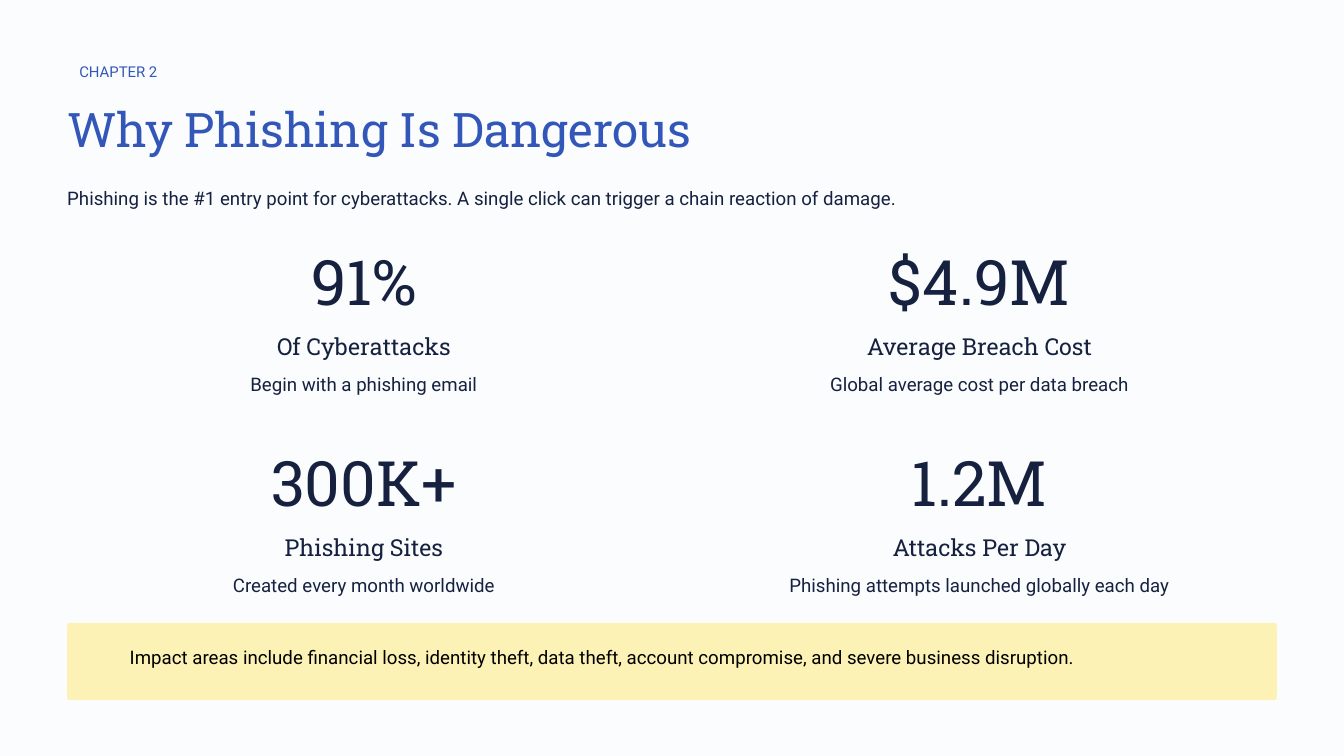
from pptx import Presentation, util as u
from pptx.dml.color import RGBColor
from pptx.enum import shapes, text

PX = 9144
COLORS = {"page": "FBFCFE", "blue": "3257B8", "navy": "15213F",
          "note": "FCF2B5", "black": "000000"}
BODY, HEAD = "Roboto", "Roboto Slab"
LEFT, ALIGN_MID = text.PP_ALIGN.LEFT, text.PP_ALIGN.CENTER
STATS = [
    ("91%", "Of Cyberattacks", "Begin with a phishing email"),
    ("$4.9M", "Average Breach Cost", "Global average cost per data breach"),
    ("300K+", "Phishing Sites", "Created every month worldwide"),
    ("1.2M", "Attacks Per Day", "Phishing attempts launched globally each day"),
]


def color(name):
    return RGBColor.from_string(COLORS[name])


def write(frame, words, size=20, lead=30.7, face=BODY, ink="navy", align=LEFT):
    frame.margin_left = frame.margin_right = 0
    frame.margin_top = frame.margin_bottom = 0
    frame.word_wrap = True
    frame.auto_size = text.MSO_AUTO_SIZE.SHAPE_TO_FIT_TEXT
    frame.vertical_anchor = text.MSO_ANCHOR.TOP
    para = frame.paragraphs[0]
    para.alignment = align
    para.line_spacing = u.Pt(lead)
    run = para.add_run()
    run.text = words
    run.font.name = face
    run.font.size = u.Pt(size)
    run.font.color.rgb = color(ink)


class Deck:
    def __init__(self, wide, high):
        self.show = Presentation()
        self.show.slide_width = wide * PX
        self.show.slide_height = high * PX
        self.slide = None

    def page(self, fill):
        self.slide = self.show.slides.add_slide(self.show.slide_layouts[5])
        back = self.slide.background.fill
        back.solid()
        back.fore_color.rgb = color(fill)

    def title(self, words, x, y, w, h, **style):
        head = self.slide.shapes.title
        head.left, head.top, head.width, head.height = (n * PX for n in (x, y, w, h))
        write(head.text_frame, words, **style)

    def label(self, words, x, y, w, h, **style):
        box = self.slide.shapes.add_textbox(*(n * PX for n in (x, y, w, h)))
        write(box.text_frame, words, **style)

    def panel(self, x, y, w, h, fill, curve):
        card = self.slide.shapes.add_shape(
            shapes.MSO_SHAPE.ROUNDED_RECTANGLE, *(n * PX for n in (x, y, w, h)))
        card.adjustments[0] = curve / min(w, h)
        card.shadow.inherit = False
        card.fill.solid()
        card.fill.fore_color.rgb = color(fill)
        card.line.fill.background()

    def stat(self, x, y, w, value, name, note):
        inset = 263
        self.label(value, x, y, w, 79, size=67, lead=66.7, face=HEAD, align=ALIGN_MID)
        self.label(name, x + inset, y + 112, w - 2 * inset, 46,
                   size=25, lead=31.2, face=HEAD, align=ALIGN_MID)
        self.label(note, x, y + 165, w, 52, align=ALIGN_MID)


def main():
    deck = Deck(2000, 1125)
    deck.page("page")
    deck.label("CHAPTER 2", 118, 85, 220, 42, size=16, lead=24.6, ink="blue")
    deck.title("Why Phishing Is Dangerous", 100, 145, 1033, 92,
               size=51, lead=63.6, face=HEAD, ink="blue")
    deck.label("Phishing is the #1 entry point for cyberattacks. "
               "A single click can trigger a chain reaction of damage.",
               100, 268, 1900, 52)
    for i, stat in enumerate(STATS):
        row, col = divmod(i, 2)
        deck.stat(100 + 916 * col, 380 + 300 * row, 883, *stat)
    deck.panel(100, 927, 1800, 115, "note", 4)
    deck.label("Impact areas include financial loss, identity theft, data theft, "
               "account compromise, and severe business disruption.",
               193, 952, 1778, 52, ink="black")
    deck.show.save("out.pptx")


if __name__ == "__main__":
    main()
